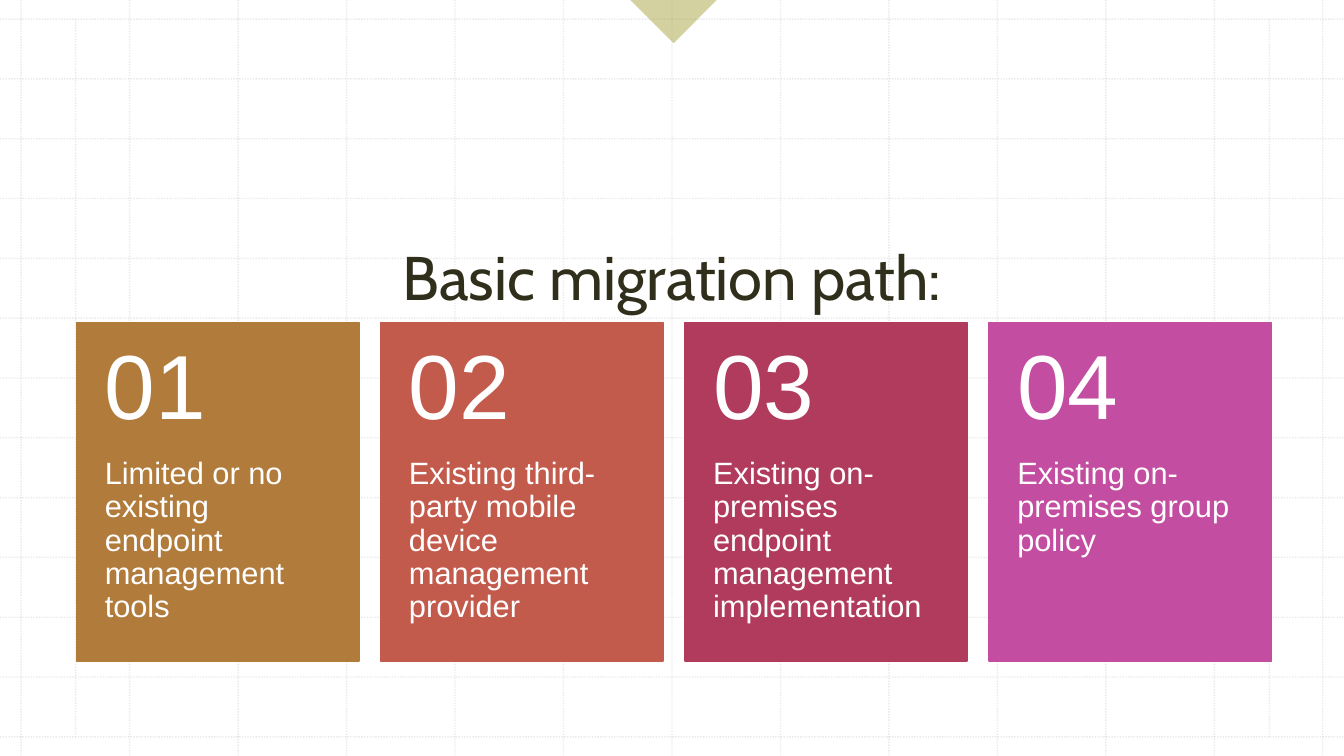
from lxml.etree import SubElement
from pptx import Presentation
from pptx.dml.color import RGBColor
from pptx.enum.dml import MSO_LINE
from pptx.enum.shapes import MSO_CONNECTOR, MSO_SHAPE
from pptx.enum.text import MSO_ANCHOR, PP_ALIGN
from pptx.oxml.ns import qn
from pptx.util import Inches, Pt

COLORS = {
    "grid": "BCBCBC",
    "marker": "A8A442",
    "title": "302F1B",
    "tile_text": "FFFFFF",
    "ochre": "B17B3B",
    "coral": "C35B4D",
    "crimson": "B13B5D",
    "orchid": "C34DA1",
}
SLIDE_W, SLIDE_H = 13.33, 7.5
STARTING_POINTS = [
    ("ochre", "Limited or no existing endpoint management tools"),
    ("coral", "Existing third-party mobile device management provider"),
    ("crimson", "Existing on-premises endpoint management implementation"),
    ("orchid", "Existing on-premises group policy"),
]


def rgb(name):
    return RGBColor.from_string(COLORS[name])


def set_opacity(fill_parent, percent):
    """Make the solid fill directly inside fill_parent partly transparent."""
    color = fill_parent.find(qn("a:solidFill"))[0]
    SubElement(color, qn("a:alpha"), val=str(percent * 1000))


def add_grid_line(slide, x1, y1, x2, y2):
    rule = slide.shapes.add_connector(
        MSO_CONNECTOR.STRAIGHT, Inches(x1), Inches(y1), Inches(x2), Inches(y2))
    rule.line.color.rgb = rgb("grid")
    rule.line.width = Pt(1)
    rule.line.dash_style = MSO_LINE.ROUND_DOT
    properties = rule._element.spPr
    set_opacity(properties.find(qn("a:ln")), 30)
    SubElement(properties, qn("a:effectLst"))


def add_grid(slide, left, top, right, bottom, cells=12):
    """Rule full-bleed lines whose outermost ones lie on the given box."""
    for i in range(cells + 1):
        x = left + (right - left) * i / cells
        y = top + (bottom - top) * i / cells
        add_grid_line(slide, x, 0, x, SLIDE_H)
        add_grid_line(slide, 0, y, SLIDE_W, y)
    for margin in (0.75, 12.59):
        add_grid_line(slide, margin, top, margin, bottom)


def add_shape(slide, kind, left, top, width, height, color):
    shape = slide.shapes.add_shape(
        kind, Inches(left), Inches(top), Inches(width), Inches(height))
    shape.shadow.inherit = False
    shape.fill.solid()
    shape.fill.fore_color.rgb = rgb(color)
    return shape


def add_marker(slide, left, top, size):
    marker = add_shape(slide, MSO_SHAPE.RIGHT_TRIANGLE, left, top, size, size, "marker")
    marker.rotation = 315
    marker.line.fill.background()
    set_opacity(marker._element.spPr, 50)


def add_text(slide, left, top, width, height, text, size, font, color,
             anchor=MSO_ANCHOR.TOP, insets=(0.1, 0.05, 0.1, 0.05)):
    """Add a one-paragraph text box and return its paragraph."""
    frame = slide.shapes.add_textbox(
        Inches(left), Inches(top), Inches(width), Inches(height)).text_frame
    frame.word_wrap = True
    frame.vertical_anchor = anchor
    (frame.margin_left, frame.margin_top,
     frame.margin_right, frame.margin_bottom) = map(Inches, insets)
    paragraph = frame.paragraphs[0]
    paragraph.text = text
    paragraph.font.size = Pt(size)
    paragraph.font.name = font
    paragraph.font.color.rgb = rgb(color)
    return paragraph


def add_title(slide, left, top, width, height):
    title = add_text(slide, left, top, width, height, "Basic migration path:",
                     44, "Cabin", "title", MSO_ANCHOR.BOTTOM)
    title.alignment = PP_ALIGN.CENTER


def add_tile(slide, left, top, width, height, number, color, description):
    tile = add_shape(slide, MSO_SHAPE.RECTANGLE, left, top, width, height, color)
    tile.line.color.rgb = rgb(color)
    tile.line.width = Pt(1)
    number_h = height * 0.4
    body = add_text(slide, left, top + number_h, width, height - number_h,
                    description, 22, "Arial", "tile_text",
                    insets=(0.28, 0, 0.28, 0.36))
    heading = add_text(slide, left, top, width, number_h, f"{number:02}",
                       65, "Arial", "tile_text", MSO_ANCHOR.MIDDLE,
                       (0.28, 0.18, 0.28, 0.18))
    for paragraph in (body, heading):
        paragraph.line_spacing = 0.9


def add_tiles(slide, left, top, width, height, tile_w=2.8):
    pitch = (width - tile_w) / (len(STARTING_POINTS) - 1)
    for i, (color, description) in enumerate(STARTING_POINTS):
        add_tile(slide, left + i * pitch, top, tile_w, height,
                 i + 1, color, description)


def main():
    deck = Presentation()
    deck.slide_width = Inches(SLIDE_W)
    deck.slide_height = Inches(SLIDE_H)
    slide = deck.slides.add_slide(deck.slide_layouts[6])
    add_grid(slide, 0.21, 0.19, 13.12, 7.31)
    add_marker(slide, 6.37, -0.32, 0.62)
    add_title(slide, 0.76, 0.79, 11.81, 2.36)
    add_tiles(slide, 0.76, 3.2, 11.85, 3.36)
    deck.save("out.pptx")


if __name__ == "__main__":
    main()
